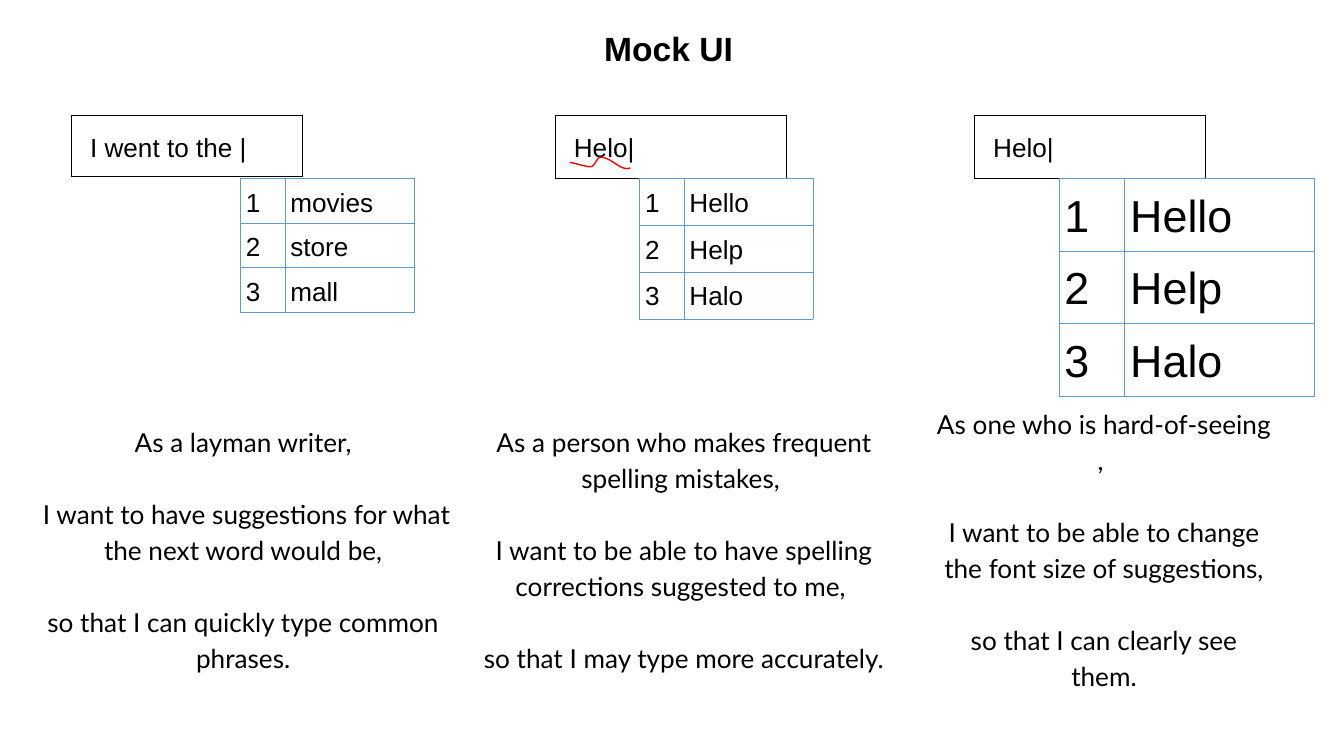
import pptx
import pptx.dml.color
import pptx.enum.text
import pptx.oxml
import pptx.oxml.ns
import pptx.util

Inches = pptx.util.Inches
Pt = pptx.util.Pt
RGBColor = pptx.dml.color.RGBColor
PP_ALIGN = pptx.enum.text.PP_ALIGN
MSO_ANCHOR = pptx.enum.text.MSO_ANCHOR
MSO_AUTO_SIZE = pptx.enum.text.MSO_AUTO_SIZE

BLACK = RGBColor(0x00, 0x00, 0x00)
WHITE = RGBColor(0xFF, 0xFF, 0xFF)
BLUE = RGBColor(0x5B, 0x9B, 0xD5)
RED = RGBColor(0xFF, 0x00, 0x00)

TITLE = "Mock UI"
MOCKUPS = [
    {
        "typed": "I went to the |", "input_left": 0.53, "list_left": 1.79,
        "suggestions": ["movies", "store", "mall"],
        "size": 14, "columns": [0.33, 0.96], "row": 0,
        "story_box": (0.17, 2.76, 3.28, 2.63),
        "story": [
            "As a layman writer,",
            " I want to have suggestions for what the next word would be,",
            "so that I can quickly type common phrases.",
        ],
    },
    {
        "typed": "Helo|", "input_left": 4.13, "list_left": 4.76,
        "suggestions": ["Hello", "Help", "Halo"],
        "size": 14, "columns": [0.33, 0.96], "row": 0,
        "story_box": (3.45, 2.85, 3.28, 2.45),
        "story": [
            "As a person who makes frequent spelling mistakes, ",
            "I want to be able to have spelling corrections suggested to me, ",
            "so that I may type more accurately.",
        ],
    },
    {
        "typed": "Helo|", "input_left": 7.25, "list_left": 7.88,
        "suggestions": ["Hello", "Help", "Halo"],
        "size": 24, "columns": [0.49, 1.41], "row": 0.51,
        "story_box": (6.86, 3.15, 2.71, 1.85),
        "story": [
            "As one who is hard-of-seeing , ",
            "I want to be able to change the font size of suggestions,",
            "so that I can clearly see them.",
        ],
    },
]
SLIDE_WIDTH = Inches(10)
SLIDE_HEIGHT = SLIDE_WIDTH * 9 // 16
INPUT_TOP, INPUT_WIDTH, INPUT_HEIGHT = 0.86, 1.72, 0.43
LIST_TOP = 1.33
FRAME_SIZE = Inches(3.28)
LINE_SPACING = 1.15
STORY_GAP = Pt(19.3)
SQUIGGLE = [
    [(4.24, 1.21), (4.27, 1.21), (4.38, 1.25), (4.40, 1.24)],
    [(4.40, 1.24), (4.43, 1.23), (4.44, 1.17), (4.47, 1.17)],
    [(4.47, 1.17), (4.55, 1.17), (4.62, 1.28), (4.69, 1.25)],
]
CURVE_STEPS = 10


def apply_format(target, values):
    for name, value in values.items():
        setattr(target, name, value)


def write_paragraph(paragraph, text, font, **values):
    run = paragraph.add_run()
    run.text = text
    apply_format(paragraph, values)
    apply_format(run.font, {key: value for key, value in font.items() if key != "color"})
    run.font.color.rgb = font["color"]


def font_format(name, size, bold=False):
    return {"name": name, "size": Pt(size), "bold": bold, "color": BLACK}


def margins(left, other):
    values = {f"margin_{side}": Inches(other) for side in ("right", "top", "bottom")}
    return {"margin_left": Inches(left), **values}


def set_borders(cell, color, width):
    properties = cell._tc.get_or_add_tcPr()
    for index, side in enumerate("LRTB"):
        border = pptx.oxml.parse_xml(
            f'<a:ln{side} {pptx.oxml.ns.nsdecls("a")} w="{Pt(width)}">'
            f'<a:solidFill><a:srgbClr val="{color}"/></a:solidFill></a:ln{side}>'
        )
        properties.insert(index, border)


def add_grid(slide, left, top, columns, row_height, rows, size, inset, border, fill=None):
    frame = slide.shapes.add_table(
        len(rows), len(columns), Inches(left), Inches(top), FRAME_SIZE, FRAME_SIZE
    )
    table = frame.table
    apply_format(table, {"first_row": False, "horz_banding": False})
    for column, width in zip(table.columns, columns):
        column.width = Inches(width)
    for row, texts in zip(table.rows, rows):
        row.height = Inches(row_height)
        for cell, text in zip(row.cells, texts):
            apply_format(cell, inset)
            if fill is None:
                cell.fill.background()
            else:
                cell.fill.solid()
                cell.fill.fore_color.rgb = fill
            set_borders(cell, *border)
            write_paragraph(cell.text_frame.paragraphs[0], text,
                            font_format("Arial", size), line_spacing=LINE_SPACING)
    apply_format(frame, {"width": FRAME_SIZE, "height": FRAME_SIZE})


def add_story(slide, box, lines):
    frame = slide.shapes.add_textbox(*map(Inches, box)).text_frame
    apply_format(frame, {"word_wrap": True, "vertical_anchor": MSO_ANCHOR.MIDDLE,
                         **margins(0.1, 0.1)})
    for index, line in enumerate(lines):
        paragraph = frame.add_paragraph() if index else frame.paragraphs[0]
        write_paragraph(paragraph, line, font_format("Lato", 14),
                        alignment=PP_ALIGN.CENTER, line_spacing=LINE_SPACING,
                        space_before=STORY_GAP if index else Pt(0))


def curve_point(curve, t):
    weights = ((1 - t) ** 3, 3 * t * (1 - t) ** 2, 3 * t ** 2 * (1 - t), t ** 3)
    return tuple(Inches(sum(weight * point[axis] for weight, point in zip(weights, curve)))
                 for axis in (0, 1))


def add_squiggle(slide):
    points = [curve_point(curve, step / CURVE_STEPS)
              for curve in SQUIGGLE for step in range(1, CURVE_STEPS + 1)]
    builder = slide.shapes.build_freeform(*map(Inches, SQUIGGLE[0][0]))
    builder.add_line_segments(points, close=False)
    squiggle = builder.convert_to_shape()
    squiggle.shadow.inherit = False
    squiggle.fill.background()
    squiggle.line.color.rgb = RED
    squiggle.line.width = Pt(0.75)


def add_title(slide):
    title = slide.shapes.title
    apply_format(title, {"left": Inches(0.17), "top": Inches(0.11),
                         "width": Inches(9.61), "height": Inches(0.47)})
    apply_format(title.text_frame, {
        "word_wrap": True, "auto_size": MSO_AUTO_SIZE.NONE,
        "vertical_anchor": MSO_ANCHOR.TOP, **margins(0.1, 0.1)})
    write_paragraph(title.text_frame.paragraphs[0], TITLE,
                    font_format("Arial", 18, True), alignment=PP_ALIGN.CENTER)


def main():
    presentation = pptx.Presentation()
    apply_format(presentation, {"slide_width": SLIDE_WIDTH, "slide_height": SLIDE_HEIGHT})
    slide = presentation.slides.add_slide(presentation.slide_layouts[5])
    add_title(slide)
    for mockup in MOCKUPS:
        add_grid(slide, mockup["input_left"], INPUT_TOP, [INPUT_WIDTH], INPUT_HEIGHT,
                 [[mockup["typed"]]], 14, margins(0.14, 0.1), (BLACK, 0.25), WHITE)
        rows = [(str(number), word) for number, word in enumerate(mockup["suggestions"], 1)]
        add_grid(slide, mockup["list_left"], LIST_TOP, mockup["columns"], mockup["row"],
                 rows, mockup["size"], margins(0.04, 0.04), (BLUE, 0.5))
        add_story(slide, mockup["story_box"], mockup["story"])
    add_squiggle(slide)
    presentation.save("out.pptx")


if __name__ == "__main__":
    main()
